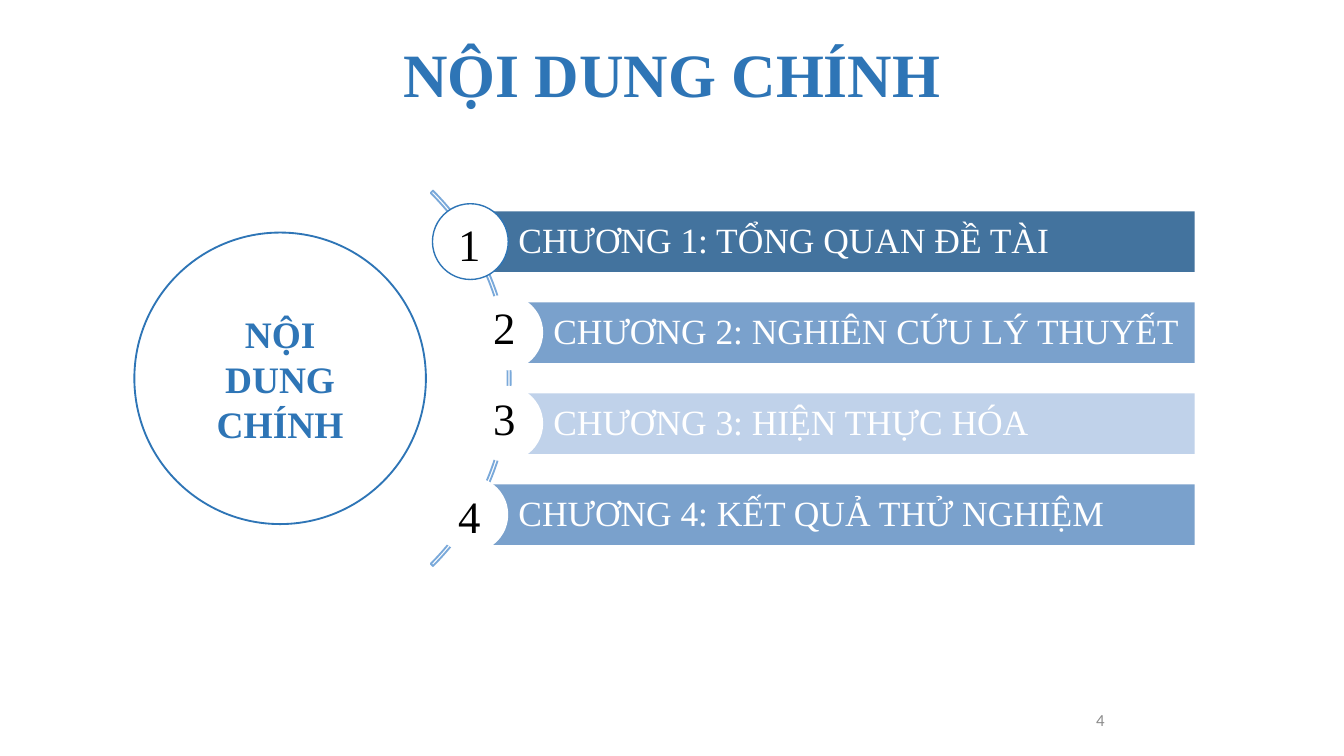
"""Build a contents slide with four chapter bars set along an arc."""
from dataclasses import dataclass

from pptx import Presentation
from pptx.dml.color import RGBColor
from pptx.enum.shapes import MSO_SHAPE
from pptx.enum.text import MSO_ANCHOR, MSO_AUTO_SIZE, PP_ALIGN
from pptx.util import Pt

TOP, MIDDLE = MSO_ANCHOR.TOP, MSO_ANCHOR.MIDDLE
LEFT, CENTER = PP_ALIGN.LEFT, PP_ALIGN.CENTER
OVAL, BAR, ARC = MSO_SHAPE.OVAL, MSO_SHAPE.RECTANGLE, MSO_SHAPE.BLOCK_ARC
GROW, FIXED = MSO_AUTO_SIZE.SHAPE_TO_FIT_TEXT, MSO_AUTO_SIZE.NONE


@dataclass(frozen=True)
class Theme:
    serif: str = "Times New Roman"
    sans: str = "Calibri"
    accent: str = "2E75B6"
    arc: str = "7AA9DA"
    dark: str = "43739E"
    medium: str = "7AA1CC"
    light: str = "C0D2EA"
    white: str = "FFFFFF"
    black: str = "000000"
    gray: str = "8C8C8C"
    title_size: float = 33
    hub_size: float = 20
    chapter_size: float = 19
    digit_size: float = 24
    footer_size: float = 9


theme = Theme()


def write(box, text, *, size, color, font=theme.serif, bold=False, align=CENTER,
          anchor=MIDDLE, insets=(7.2, 3.6, 7.2, 3.6), spacing=1.0, fit=FIXED):
    frame = box.text_frame
    frame.word_wrap = True
    frame.auto_size = fit
    frame.vertical_anchor = anchor
    frame.margin_left, frame.margin_top, frame.margin_right, frame.margin_bottom = map(Pt, insets)
    para = frame.paragraphs[0]
    para.alignment = align
    para.line_spacing = spacing
    span = para.add_run()
    span.text = text
    span.font.name = font
    span.font.size = Pt(size)
    span.font.bold = bold
    span.font.color.rgb = RGBColor.from_string(color)


def draw(kind, left, top, width, height, *, fill=None, line=None, weight=1):
    shape = page.shapes.add_shape(kind, Pt(left), Pt(top), Pt(width), Pt(height))
    shape.shadow.inherit = False
    if fill:
        shape.fill.solid()
        shape.fill.fore_color.rgb = RGBColor.from_string(fill)
    else:
        shape.fill.background()
    if line:
        shape.line.color.rgb = RGBColor.from_string(line)
        shape.line.width = Pt(weight)
    else:
        shape.line.fill.background()
    return shape


deck = Presentation()
deck.slide_width, deck.slide_height = Pt(720), Pt(405)
page = deck.slides.add_slide(deck.slide_layouts[5])

title = page.shapes.title
title.left, title.top, title.width, title.height = Pt(24.5), Pt(16.5), Pt(671), Pt(47)
write(title, "NỘI DUNG CHÍNH", size=theme.title_size, color=theme.accent, bold=True,
      anchor=TOP, insets=(7.2,) * 4, spacing=0.9)

number = page.shapes.add_textbox(Pt(508.5), Pt(375), Pt(162), Pt(21.6))
write(number, "4", size=theme.footer_size, color=theme.gray, font=theme.sans, insets=(7.2,) * 4)

hub = draw(OVAL, 72, 124.6, 156.2, 156.2, fill=theme.white, line=theme.accent)
write(hub, "NỘI DUNG CHÍNH", size=theme.hub_size, color=theme.accent, bold=True)

arc = draw(ARC, -10.8, 60.5, 284.4, 284.4, line=theme.arc)
arc.adjustments[0], arc.adjustments[1], arc.adjustments[2] = 189, 27, 0.006

chapters = [
    ("CHƯƠNG 1: TỔNG QUAN ĐỀ TÀI", theme.dark, 252, theme.accent, -0.7),
    ("CHƯƠNG 2: NGHIÊN CỨU LÝ THUYẾT", theme.medium, 270.7, None, -5),
    ("CHƯƠNG 3: HIỆN THỰC HÓA", theme.light, 270.7, None, -5),
    ("CHƯƠNG 4: KẾT QUẢ THỬ NGHIỆM", theme.medium, 252, None, -1.4),
]
first_top, pitch, bar_height, bar_right = 113.2, 48.75, 32.5, 640
badge_size, digit_box = 40.6, 36

for index, (name, color, left, outline, digit_shift) in enumerate(chapters):
    top = first_top + index * pitch
    bar = draw(BAR, left, top, bar_right - left, bar_height, fill=color)
    write(bar, name, size=theme.chapter_size, color=theme.white, align=LEFT,
          insets=(25.8, 3.6, 3.6, 3.6), spacing=0.9)
    draw(OVAL, left - badge_size / 2, top + (bar_height - badge_size) / 2,
         badge_size, badge_size, fill=theme.white, line=outline, weight=0.75)
    digit = page.shapes.add_textbox(Pt(left - digit_box / 2 - 0.5), Pt(top + digit_shift),
                                    Pt(digit_box), Pt(digit_box))
    write(digit, str(index + 1), size=theme.digit_size, color=theme.black, anchor=TOP, fit=GROW)

deck.save("out.pptx")
